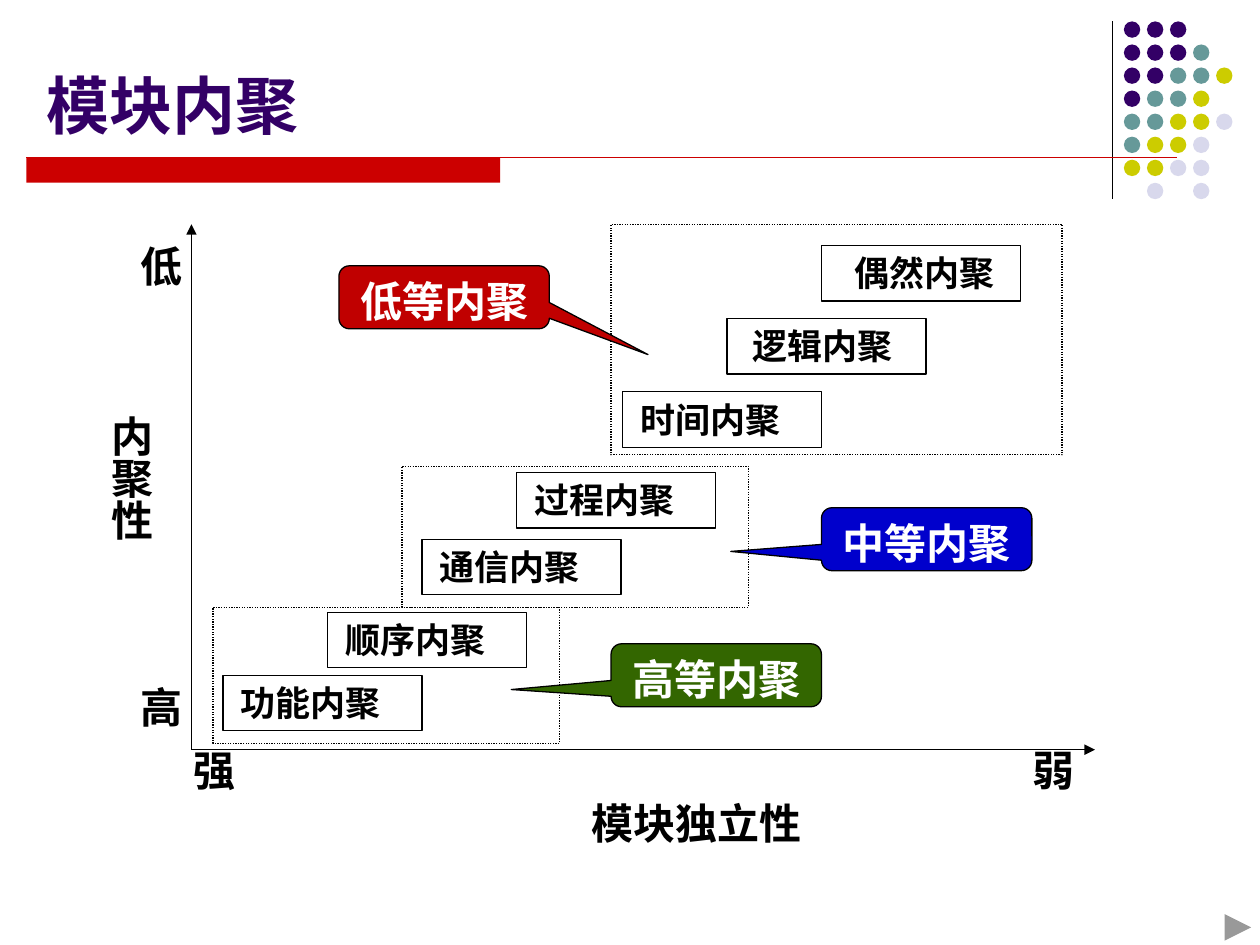
from dataclasses import dataclass
from typing import Optional

from lxml.etree import SubElement
from pptx import Presentation
from pptx.dml.color import RGBColor
from pptx.enum.dml import MSO_LINE_DASH_STYLE as Dash
from pptx.enum.shapes import MSO_CONNECTOR as Connector, MSO_SHAPE as Shape
from pptx.enum.text import MSO_ANCHOR as Anchor, PP_ALIGN as Align
from pptx.oxml.ns import qn
from pptx.util import Inches, Pt

BLACK, WHITE, RED, PURPLE = "000000", "FFFFFF", "CC0000", "330066"
DOT_COLORS = {"P": PURPLE, "T": "669999", "Y": "CCCC00", "L": "D8D8EC"}
DOT_ROWS = ["PPP", "PPPT", "PPTTY", "PTTY", "TTYYL", "TYYL", "YYLL", " L L"]
DOT_LEFT, DOT_TOP, DOT_PITCH, DOT_SIZE = 8.92, 0.17, 0.183, 0.13


@dataclass
class Area:
    left: float
    top: float
    width: float
    height: float

    def lengths(self) -> list:
        return [Inches(n) for n in (self.left, self.top, self.width, self.height)]


@dataclass
class Label:
    text: str
    area: Area
    vertical: bool = False


@dataclass
class Level:
    text: str
    left: float
    top: float
    indent: float = 0.14


@dataclass
class Callout:
    text: str
    left: float
    top: float
    fill: str
    tip: tuple


LABELS = [
    Label("强", Area(1.44, 5.86, 0.67, 0.5)),
    Label("弱", Area(8.1, 5.86, 0.67, 0.5)),
    Label("模块独立性", Area(4.6, 6.28, 2.83, 0.5)),
    Label("内聚性", Area(0.69, 3.2, 0.6, 1.67), vertical=True),
    Label("高", Area(1.02, 5.36, 0.67, 0.5)),
    Label("低", Area(1.02, 1.86, 0.67, 0.5)),
]
LEVELS = [
    Level("功能内聚", 1.77, 5.36),
    Level("顺序内聚", 2.6, 4.86),
    Level("通信内聚", 3.35, 4.28),
    Level("过程内聚", 4.1, 3.75),
    Level("时间内聚", 4.94, 3.11),
    Level("逻辑内聚", 5.77, 2.53, 0.2),
    Level("偶然内聚", 6.52, 1.95, 0.26),
]
GROUPS = [
    Area(1.69, 4.82, 2.75, 1.08),
    Area(3.19, 3.7, 2.75, 1.12),
    Area(4.85, 1.78, 3.58, 1.83),
]
CALLOUTS = [
    Callout("高等内聚", 4.85, 5.11, "336600", (-0.974, 0.226)),
    Callout("中等内聚", 6.52, 4.03, "0000CC", (-0.931, 0.194)),
    Callout("低等内聚", 2.69, 2.11, "C00000", (0.969, 0.91)),
]


def color(value: str) -> RGBColor:
    return RGBColor.from_string(value)


def apply(target, values: dict) -> None:
    for name, value in values.items():
        setattr(target, name, value)


def write(box, text: str, size: float, ink: str = BLACK, font: str = "Times New Roman",
          align=Align.LEFT, anchor=Anchor.TOP, insets=(0.1, 0.05, 0.1, 0.05)) -> None:
    frame = box.text_frame
    sides = ("margin_left", "margin_top", "margin_right", "margin_bottom")
    apply(frame, {side: Inches(inset) for side, inset in zip(sides, insets)})
    apply(frame, {"word_wrap": True, "vertical_anchor": anchor})
    para = frame.paragraphs[0]
    para.alignment = align
    span = para.add_run()
    span.text = text
    apply(span.font, {"name": font, "size": Pt(size), "bold": True})
    span.font.color.rgb = color(ink)


def add_box(page, kind, area: Area, fill: Optional[str] = None,
            line: Optional[str] = None, dash=None):
    box = page.shapes.add_shape(kind, *area.lengths())
    box.shadow.inherit = False
    if fill:
        box.fill.solid()
        box.fill.fore_color.rgb = color(fill)
    else:
        box.fill.background()
    if line:
        box.line.color.rgb = color(line)
        apply(box.line, {"width": Pt(0.75), "dash_style": dash})
    else:
        box.line.fill.background()
    return box


def add_line(page, start: tuple, end: tuple, ink: str = BLACK, arrow: bool = False) -> None:
    points = [Inches(n) for n in (*start, *end)]
    line = page.shapes.add_connector(Connector.STRAIGHT, *points)
    line.line.color.rgb = color(ink)
    line.line.width = Pt(0.75)
    if arrow:
        SubElement(line.line._get_or_add_ln(), qn("a:tailEnd"), type="triangle")
    SubElement(line._element.spPr, qn("a:effectLst"))


def add_decoration(page) -> None:
    add_line(page, (8.83, 0.17), (8.83, 1.58))
    for row, marks in enumerate(DOT_ROWS):
        for column, mark in enumerate(marks):
            if mark in DOT_COLORS:
                area = Area(DOT_LEFT + column * DOT_PITCH, DOT_TOP + row * DOT_PITCH,
                            DOT_SIZE, DOT_SIZE)
                add_box(page, Shape.OVAL, area, DOT_COLORS[mark])
    add_box(page, Shape.RECTANGLE, Area(0.21, 1.25, 3.76, 0.2), RED)
    add_line(page, (0.21, 1.25), (9.34, 1.25), RED)


def add_title(page, text: str) -> None:
    title = page.shapes.title
    names = ("left", "top", "width", "height")
    apply(title, dict(zip(names, Area(0.27, 0.44, 4, 0.74).lengths())))
    write(title, text, 36, PURPLE, "Arial", anchor=Anchor.BOTTOM)


def add_label(page, label: Label) -> None:
    box = page.shapes.add_textbox(*label.area.lengths())
    if label.vertical:
        write(box, label.text, 24, insets=(0.05, 0.1, 0.05, 0.1))
        box.text_frame._txBody.bodyPr.set("vert", "eaVert")
    else:
        write(box, label.text, 24)


def add_level(page, level: Level) -> None:
    area = Area(level.left, level.top, 1.58, 0.44)
    box = add_box(page, Shape.RECTANGLE, area, line=BLACK)
    write(box, level.text, 20, insets=(level.indent, 0.05, 0.02, 0.05))


def add_callout(page, callout: Callout) -> None:
    area = Area(callout.left, callout.top, 1.67, 0.5)
    box = add_box(page, Shape.ROUNDED_RECTANGULAR_CALLOUT, area, callout.fill, BLACK)
    for index, value in enumerate((*callout.tip, 0.167)):
        box.adjustments[index] = value
    write(box, callout.text, 24, WHITE, align=Align.CENTER)


def main() -> None:
    deck = Presentation()
    apply(deck, {"slide_width": Inches(10), "slide_height": Inches(7.5)})
    page = deck.slides.add_slide(deck.slide_layouts[5])
    add_decoration(page)
    add_title(page, "模块内聚")
    origin = (1.52, 5.95)
    for end in ((1.52, 1.78), (8.69, 5.95)):
        add_line(page, origin, end, arrow=True)
    for label in LABELS:
        add_label(page, label)
    for level in LEVELS:
        add_level(page, level)
    for group in GROUPS:
        add_box(page, Shape.RECTANGLE, group, line=BLACK, dash=Dash.ROUND_DOT)
    for callout in CALLOUTS:
        add_callout(page, callout)
    add_box(page, Shape.ACTION_BUTTON_FORWARD_OR_NEXT, Area(9.65, 7.22, 0.35, 0.28), WHITE)
    deck.save("out.pptx")


if __name__ == "__main__":
    main()
